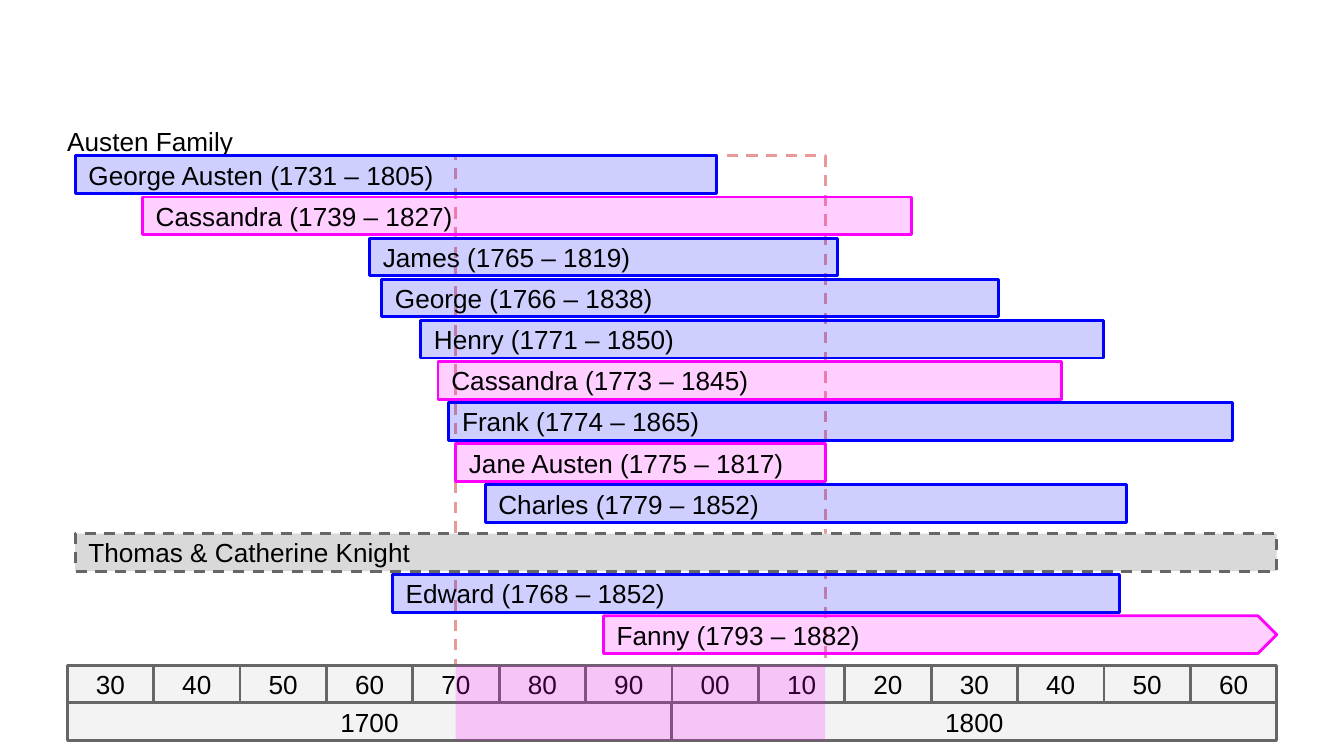
"""Builds a lifespan timeline of the Austen family."""
from lxml import etree
from pptx import Presentation, util as u
from pptx.dml.color import RGBColor
from pptx.enum import dml, shapes, text
from pptx.oxml import ns

COLORS = {
    "ink": "000000", "man": "0000FF", "woman": "FF00FF", "frame": "EA9999",
    "household": "D9D9D9", "axis": "F3F3F3", "axis_line": "666666",
}
SLIDE_WIDTH = 10
SLIDE_HEIGHT = SLIDE_WIDTH * 9 / 16
BAR_HEIGHT = 0.28
ROW_PITCH = 0.306
AXIS_LEFT, AXIS_WIDTH = 0.5, 9
AXIS_TOP, AXIS_ROW = 4.95, 0.28
JANE_LEFT, JANE_WIDTH = 3.39, 2.75
FAMILY_TOP, KNIGHT_TOP = 1.16, 3.97

FAMILY = [
    ("George Austen (1731 – 1805)", "man", 0.56, 4.77),
    ("Cassandra (1739 – 1827)", "woman", 1.06, 5.72),
    ("James (1765 – 1819)", "man", 2.75, 3.48),
    ("George (1766 – 1838)", "man", 2.84, 4.59),
    ("Henry (1771 – 1850)", "man", 3.13, 5.08),
    ("Cassandra (1773 – 1845)", "woman", 3.26, 4.64),
    ("Frank (1774 – 1865)", "man", 3.34, 5.83),
    ("Jane Austen (1775 – 1817)", "woman", JANE_LEFT, JANE_WIDTH),
    ("Charles (1779 – 1852)", "man", 3.61, 4.77),
]


def rgb(name):
    return RGBColor.from_string(COLORS[name])


def write_text(frame, content, *, size=14, font="Arial", color="ink",
               align=text.PP_ALIGN.LEFT, anchor=text.MSO_ANCHOR.MIDDLE, side=0.1):
    frame.word_wrap = True
    frame.auto_size = text.MSO_AUTO_SIZE.NONE
    frame.vertical_anchor = anchor
    frame.margin_left = frame.margin_right = u.Inches(side)
    frame.margin_top = frame.margin_bottom = 0
    paragraph = frame.paragraphs[0]
    paragraph.alignment = align
    run = paragraph.add_run()
    run.text = content
    run.font.size = u.Pt(size)
    run.font.name = font
    run.font.color.rgb = rgb(color)


class Timeline:
    def __init__(self, slide, line_width=1.5, alpha=19):
        self.slide = slide
        self.line_width = u.Pt(line_width)
        self.alpha = alpha

    def title(self, content, left, top, width, height):
        heading = self.slide.shapes.title
        heading.left, heading.top = u.Inches(left), u.Inches(top)
        heading.width, heading.height = u.Inches(width), u.Inches(height)
        write_text(heading.text_frame, content, anchor=text.MSO_ANCHOR.BOTTOM, side=0)

    def box(self, left, top, width, height, *, fill=None, line=None, clear=False,
            dashed=False, outline=shapes.MSO_SHAPE.RECTANGLE):
        area = self.slide.shapes.add_shape(
            outline, u.Inches(left), u.Inches(top), u.Inches(width), u.Inches(height))
        area.shadow.inherit = False
        if fill:
            area.fill.solid()
            area.fill.fore_color.rgb = rgb(fill)
        else:
            area.fill.background()
        if clear:
            tint = area._element.spPr.find(ns.qn("a:solidFill")).find(ns.qn("a:srgbClr"))
            etree.SubElement(tint, ns.qn("a:alpha"), val=str(self.alpha * 1000))
        if line:
            area.line.color.rgb = rgb(line)
            area.line.width = self.line_width
            if dashed:
                area.line.dash_style = dml.MSO_LINE.DASH
        else:
            area.line.fill.background()
        return area

    def life(self, label, kind, left, top, width, **style):
        bar = self.box(left, top, width, BAR_HEIGHT, fill=kind, line=kind, clear=True, **style)
        write_text(bar.text_frame, label)

    def household(self, label, left, top, width):
        bar = self.box(left, top, width, BAR_HEIGHT, fill="household",
                       line="axis_line", dashed=True)
        write_text(bar.text_frame, label)

    def axis_row(self, labels, top):
        step = AXIS_WIDTH / len(labels)
        for index, label in enumerate(labels):
            cell = self.box(AXIS_LEFT + index * step, top, step, AXIS_ROW,
                            fill="axis", line="axis_line")
            write_text(cell.text_frame, label, align=text.PP_ALIGN.CENTER)


def main():
    deck = Presentation()
    deck.slide_width, deck.slide_height = u.Inches(SLIDE_WIDTH), u.Inches(SLIDE_HEIGHT)
    timeline = Timeline(deck.slides.add_slide(deck.slide_layouts[5]))

    timeline.title("Austen Family", AXIS_LEFT, 0.23, AXIS_WIDTH, 0.94)
    timeline.box(JANE_LEFT, FAMILY_TOP, JANE_WIDTH, 4.35, line="frame", dashed=True)
    for row, (label, kind, left, width) in enumerate(FAMILY):
        timeline.life(label, kind, left, FAMILY_TOP + row * ROW_PITCH, width)

    timeline.household("Thomas & Catherine Knight", 0.56, KNIGHT_TOP, 8.94)
    timeline.life("Edward (1768 – 1852)", "man", 2.92, KNIGHT_TOP + ROW_PITCH, 5.41)
    timeline.life("Fanny (1793 – 1882)", "woman", 4.49, KNIGHT_TOP + 2 * ROW_PITCH, 5.01,
                  outline=shapes.MSO_SHAPE.PENTAGON)

    decades = [f"{year % 100:02d}" for year in range(1730, 1870, 10)]
    timeline.axis_row(decades, AXIS_TOP)
    timeline.axis_row(["1700", "1800"], AXIS_TOP + AXIS_ROW)
    timeline.box(JANE_LEFT, AXIS_TOP, JANE_WIDTH, 2 * AXIS_ROW, fill="woman", clear=True)
    deck.save("out.pptx")


if __name__ == "__main__":
    main()
